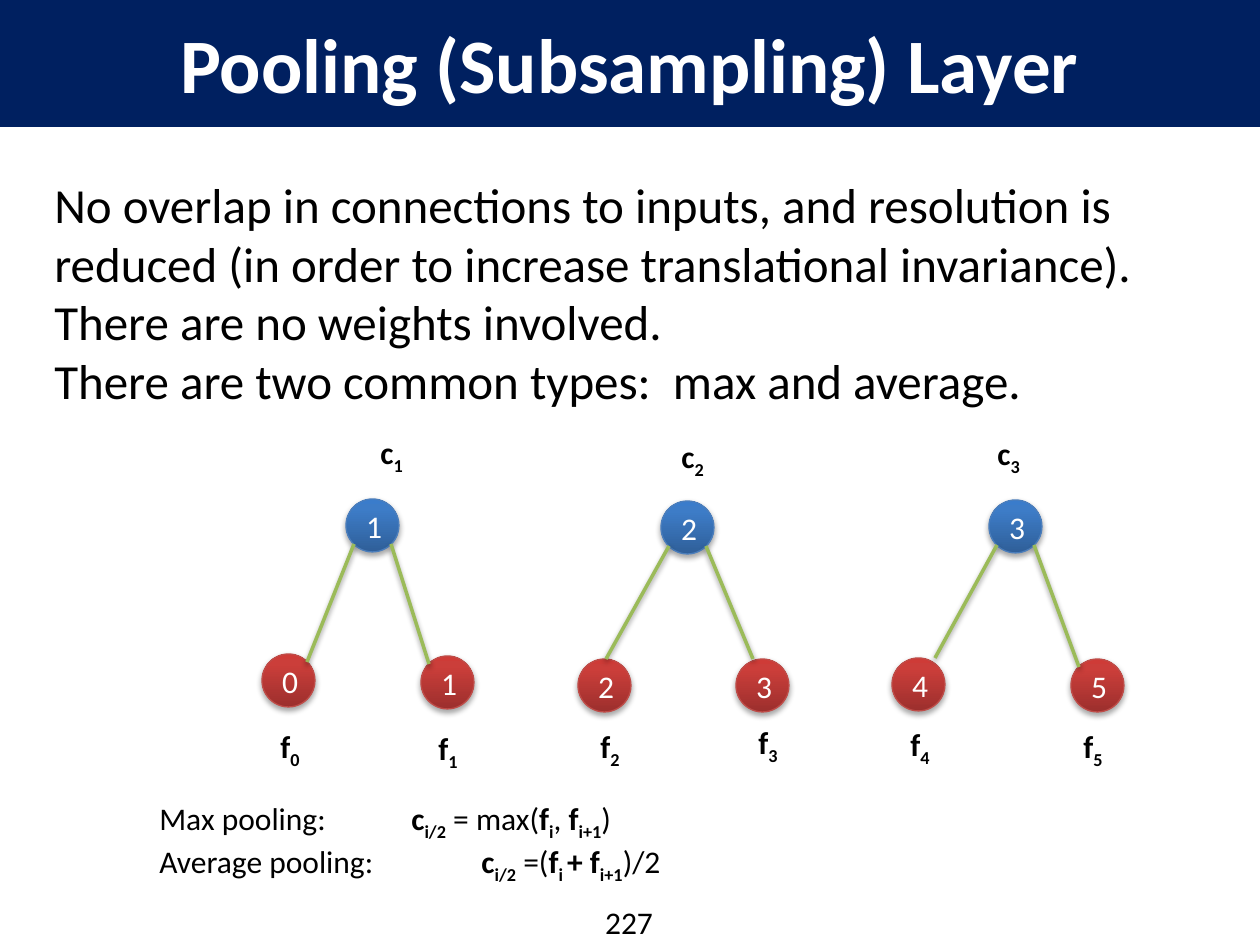
from pptx import Presentation
from pptx import util as u
from pptx.dml.color import RGBColor
from pptx.enum import shapes, text
from pptx.oxml import parse_xml
from pptx.oxml.ns import nsdecls, qn

TITLE = "Pooling (Subsampling) Layer"
BODY = [
    "No overlap in connections to inputs, and resolution is reduced "
    "(in order to increase translational invariance).",
    "There are no weights involved.",
    "There are two common types:  max and average.",
]
RULES = [
    [("Max pooling:\t\t", ""), ("c", "b"), ("i/2", "sub"), (" = max(", ""),
     ("f", "b"), ("i", "sub"), (", ", ""), ("f", "b"), ("i+1", "sub"), (")", "")],
    [("Average pooling:\t\t", ""), (" c", "b"), ("i/2", "sub"), (" =(", ""),
     ("f", "b"), ("i ", "sub"), ("+ ", "b"), ("f", "b"), ("i+1", "sub"), (")/2", "")],
]
PAGE = "227"

# number, node corner, label corner
OUTS = [
    (1, (346, 499), (368, 427)),
    (2, (661, 501), (669, 431)),
    (3, (989, 500), (985, 428)),
]
# number, node corner, label corner, where the edge meets the node
INS = [
    (0, (262, 654), (268, 721), (45, 8)),
    (1, (421, 656), (426, 723), (8, 8)),
    (2, (578, 659), (588, 721), (28, 0)),
    (3, (736, 659), (746, 717), (17, 0)),
    (4, (892, 658), (898, 719), (43, 0)),
    (5, (1071, 659), (1071, 721), (8, 8)),
]

THEME = {
    "font": "Calibri", "navy": "002060", "white": "FFFFFF", "ink": "000000",
    "edge": "9BBB59", "title": 44, "body": 28, "small": 18,
    "out": {"line": "4B7EBC", "stops": ["2F5F99", "3D7CC7", "3A7CCB"]},
    "in": {"line": "BF4C48", "stops": ["9C2F2D", "CB3E3A", "CE3B37"]},
}
SIZE = 53
LEGS = [8, 45]
FOOT = 45


def px(n):
    return u.Emu(round(n * 914400 / 126))


def rgb(name):
    return RGBColor.from_string(THEME.get(name, name))


def style(font, size, color="ink", bold=False):
    font.name, font.size, font.bold = THEME["font"], u.Pt(THEME[size]), bold
    font.color.rgb = rgb(color)


def write(para, parts, size):
    for word, kind in parts:
        run = para.add_run()
        run.text = word
        style(run.font, size, bold=bool(kind))
        if kind == "sub":
            run._r.get_or_add_rPr().set("baseline", "-25000")


def box(slide, area, paras, size, wrap=True, align=None):
    frame = slide.shapes.add_textbox(*map(px, area)).text_frame
    frame.word_wrap = wrap
    for i, parts in enumerate(paras):
        para = frame.add_paragraph() if i else frame.paragraphs[0]
        para.alignment = align
        write(para, parts, size)


def shade(item, alpha, dist):
    props = item._element.spPr
    for old in props.findall(qn("a:effectLst")):
        props.remove(old)
    props.append(parse_xml(
        f'<a:effectLst {nsdecls("a")}><a:outerShdw blurRad="40000" dist="{dist}" '
        f'dir="5400000" rotWithShape="0"><a:srgbClr val="{THEME["ink"]}">'
        f'<a:alpha val="{alpha}000"/></a:srgbClr></a:outerShdw></a:effectLst>'))


def node(slide, num, spot, kind):
    look = THEME[kind]
    oval = slide.shapes.add_shape(
        shapes.MSO_SHAPE.OVAL, *map(px, (*spot, SIZE, SIZE)))
    oval.fill.gradient()
    oval.fill.gradient_angle = 90
    stops = oval._element.spPr.find(qn("a:gradFill")).find(qn("a:gsLst"))
    for old in list(stops):
        stops.remove(old)
    for pos, color in zip((0, 80, 100), look["stops"]):
        stops.append(parse_xml(
            f'<a:gs {nsdecls("a")} pos="{pos}000"><a:srgbClr val="{color}"/></a:gs>'))
    oval.line.color.rgb = rgb(look["line"])
    oval.line.width = u.Pt(0.75)
    shade(oval, 35, 23000)
    frame = oval.text_frame
    frame.text = str(num)
    frame.vertical_anchor = text.MSO_ANCHOR.MIDDLE
    para = frame.paragraphs[0]
    para.alignment = text.PP_ALIGN.CENTER
    style(para.runs[0].font, "small", "white")


def label(slide, name, num, spot):
    parts = [(name, "b"), (str(num), "sub")]
    box(slide, (*spot, 48, 51), [parts], "small", wrap=False)


def edge(slide, start, end):
    line = slide.shapes.add_connector(
        shapes.MSO_CONNECTOR.STRAIGHT, *map(px, (*start, *end)))
    line.line.color.rgb = rgb("edge")
    line.line.width = u.Pt(2)
    shade(line, 38, 20000)


def head(slide):
    top = slide.shapes.title
    top.left, top.top, top.width, top.height = map(px, (0, 0, 1260, 126))
    top.fill.solid()
    top.fill.fore_color.rgb = rgb("navy")
    top.line.color.rgb = rgb("navy")
    top.line.width = u.Pt(0.75)
    frame = top.text_frame
    frame.text = TITLE
    frame.vertical_anchor = text.MSO_ANCHOR.MIDDLE
    para = frame.paragraphs[0]
    para.alignment = text.PP_ALIGN.CENTER
    style(para.runs[0].font, "title", "white", True)


def main():
    deck = Presentation()
    deck.slide_width, deck.slide_height = px(1260), px(945)
    slide = deck.slides.add_slide(deck.slide_layouts[5])
    head(slide)
    box(slide, (42, 168, 1187, 310), [[(line, "")] for line in BODY], "body")
    box(slide, (147, 793, 998, 89), RULES, "small")
    box(slide, (577, 897, 104, 51), [[(PAGE, "")]], "small",
        align=text.PP_ALIGN.CENTER)
    for num, spot, tag in OUTS:
        node(slide, num, spot, "out")
        label(slide, "c", num, tag)
    for num, spot, tag, meet in INS:
        node(slide, num, spot, "in")
        label(slide, "f", num, tag)
        left, top = OUTS[num // 2][1]
        edge(slide, (left + LEGS[num % 2], top + FOOT),
             (spot[0] + meet[0], spot[1] + meet[1]))
    deck.save("out.pptx")


if __name__ == "__main__":
    main()
